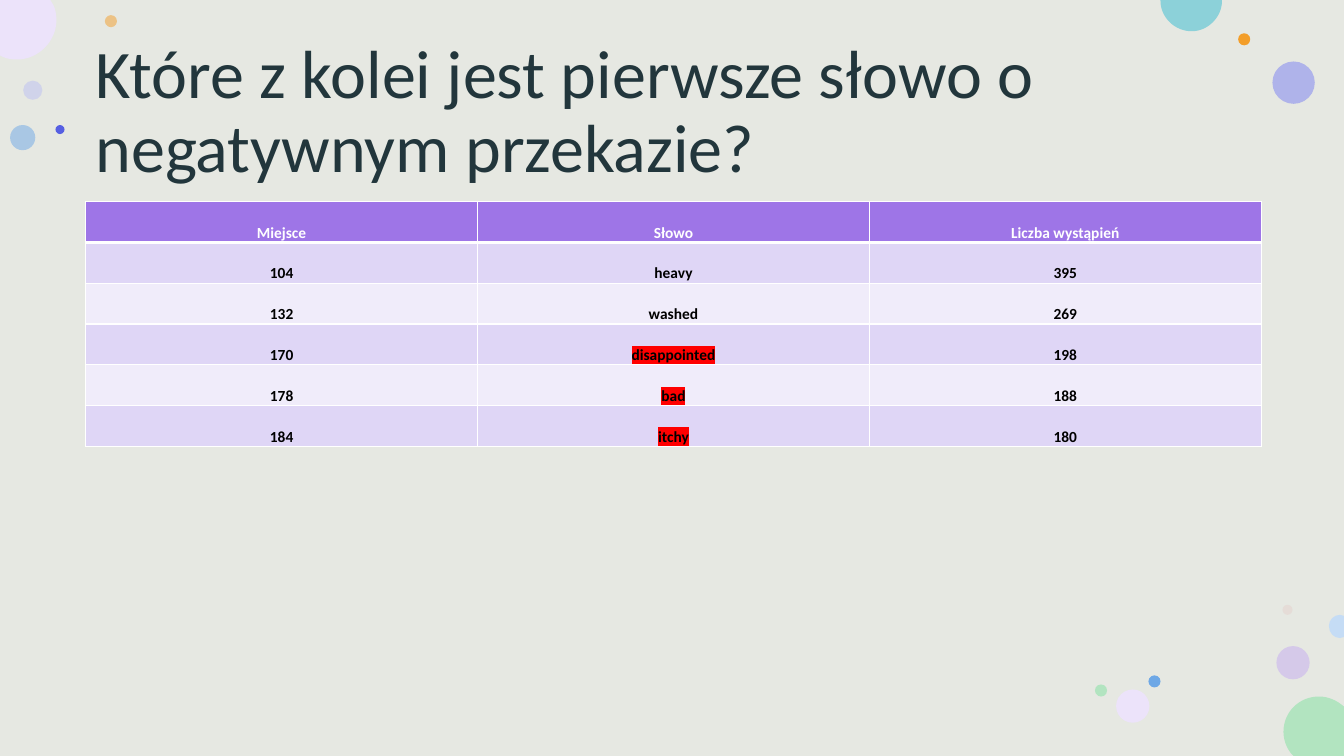
from lxml import etree
from pptx import Presentation
from pptx.dml.color import RGBColor
from pptx.enum.shapes import MSO_SHAPE
from pptx.enum.text import MSO_ANCHOR, PP_ALIGN
from pptx.oxml.ns import qn
from pptx.util import Inches, Pt

OVAL, RECT = MSO_SHAPE.OVAL, MSO_SHAPE.RECTANGLE
MIDDLE, BOTTOM = MSO_ANCHOR.MIDDLE, MSO_ANCHOR.BOTTOM
LEFT, CENTER = PP_ALIGN.LEFT, PP_ALIGN.CENTER
WIDE, HIGH = 13.33, 7.5

TITLE = "Które z kolei jest pierwsze słowo o negatywnym przekazie?"
ROWS = [
    ("Miejsce", "Słowo", "Liczba wystąpień"),
    ("104", "heavy", "395"),
    ("132", "washed", "269"),
    ("170", "disappointed", "198"),
    ("178", "bad", "188"),
    ("184", "itchy", "180"),
]
MARKED = {"disappointed", "bad", "itchy"}
HEAD, BANDS = "9E75E7", ("F0ECFA", "DFD6F6")
WHITE, BLACK, RED, BACK = "FFFFFF", "000000", "FF0000", "E6E8E2"

# left, top, diameter, colour, opacity in percent
DOTS = [
    (0.23, 0.8, 0.19, "BBBFF3", 50),
    (1.04, 0.15, 0.12, "F39E29", 50),
    (12.66, 6.41, 0.33, "C5ACF1", 50),
    (0.1, 1.24, 0.25, "6EA8E6", 50),
    (12.62, 0.61, 0.42, "9A9FEE", 72),
    (12.28, 0.33, 0.12, "F39E29", 100),
    (12.72, 6, 0.1, "E3BEBE", 28),
    (11.39, 6.7, 0.12, "6EA8E6", 100),
    (11.07, 6.84, 0.33, "ECE3FA", 100),
    (10.86, 6.79, 0.12, "B2E4C0", 100),
    (0.55, 1.24, 0.09, "565FE2", 100),
]
# circles cut by the slide's edge: colour, start, then
# two numbers for a line and six for a curve
CUTS = [
    ("B2E4C0", (13.08, 6.91), [
        (13.18, 6.91, 13.26, 6.95, 13.33, 7.01), (13.33, 7.5), (12.83, 7.5),
        (12.81, 7.48), (12.76, 7.42, 12.73, 7.34, 12.73, 7.26),
        (12.73, 7.06, 12.89, 6.91, 13.08, 6.91)]),
    ("ECE3FA", (0, 0), [
        (0.5, 0), (0.53, 0.05), (0.55, 0.09, 0.56, 0.14, 0.56, 0.2),
        (0.56, 0.41, 0.38, 0.59, 0.17, 0.59),
        (0.11, 0.59, 0.06, 0.58, 0.02, 0.56), (0, 0.55)]),
    ("8CD1D9", (11.51, 0), [
        (12.12, 0), (12.12, 0.01), (12.12, 0.17, 11.98, 0.31, 11.82, 0.31),
        (11.65, 0.31, 11.51, 0.17, 11.51, 0.01)]),
    ("C5DCF5", (13.29, 6.1), [
        (13.33, 6.11), (13.33, 6.32), (13.29, 6.33),
        (13.23, 6.33, 13.18, 6.28, 13.18, 6.21),
        (13.18, 6.15, 13.23, 6.1, 13.29, 6.1)]),
]


def paint(fill, color, alpha=100):
    fill.solid()
    fill.fore_color.rgb = RGBColor.from_string(color)
    if alpha < 100:
        tone = fill._xPr.find(qn("a:solidFill"))[0]
        etree.SubElement(tone, qn("a:alpha"), val=str(alpha * 1000))


def plain(shape, color, alpha=100):
    shape.shadow.inherit = False
    shape.line.fill.background()
    paint(shape.fill, color, alpha)


def write(frame, text, size, color, bold=False, align=LEFT, mark=None, space=1.0):
    frame.word_wrap = True
    para = frame.paragraphs[0]
    para.alignment, para.line_spacing = align, space
    run = para.add_run()
    run.text = text
    font = run.font
    font.size, font.bold = Pt(size), bold
    paint(font.fill, color)
    if mark:
        glow = etree.SubElement(font._element, qn("a:highlight"))
        etree.SubElement(glow, qn("a:srgbClr"), val=mark)
    font.name = "Calibri"


def edge(cell, side, width):
    line = etree.SubElement(cell._tc.get_or_add_tcPr(), qn("a:ln" + side),
                            w=str(Pt(width)))
    solid = etree.SubElement(line, qn("a:solidFill"))
    etree.SubElement(solid, qn("a:srgbClr"), val=WHITE)


def cut(slide, color, start, parts):
    """Draw an outline, then join each curve's three lines into one curve."""
    pen = slide.shapes.build_freeform(*map(Inches, start))
    for part in parts:
        spots = zip(part[::2], part[1::2])
        pen.add_line_segments([(Inches(x), Inches(y)) for x, y in spots],
                              close=part is parts[-1])
    shape = pen.convert_to_shape()
    plain(shape, color)
    lines = iter(list(shape._element.iter(qn("a:lnTo"))))
    for part in parts:
        group = [next(lines) for _ in part[::2]]
        if len(group) == 3:
            curve = etree.Element(qn("a:cubicBezTo"))
            group[0].addprevious(curve)
            for line in group:
                curve.append(line[0])
                line.getparent().remove(line)


def grid(slide, left, top, width, height):
    rows, cols = len(ROWS), len(ROWS[0])
    table = slide.shapes.add_table(rows, cols, Inches(left), Inches(top),
                                   Inches(width), Inches(height)).table
    for r, row in enumerate(ROWS):
        for c, text in enumerate(row):
            cell = table.cell(r, c)
            cell.margin_left = cell.margin_right = cell.margin_top = Inches(0.01)
            cell.margin_bottom = 0
            cell.vertical_anchor = BOTTOM
            for side in "LRTB":
                thick = (r, side) in ((0, "B"), (1, "T"))
                edge(cell, side, 3 if thick else 1)
            paint(cell.fill, BANDS[r % 2] if r else HEAD)
            write(cell.text_frame, text, 11, BLACK if r else WHITE, bold=True,
                  align=CENTER, mark=RED if text in MARKED else None)


def main():
    deck = Presentation()
    deck.slide_width, deck.slide_height = Inches(WIDE), Inches(HIGH)
    slide = deck.slides.add_slide(deck.slide_layouts[6])
    back = slide.shapes.add_shape(RECT, 0, 0, deck.slide_width, deck.slide_height)
    plain(back, BACK)
    for x, y, size, color, alpha in DOTS:
        dot = slide.shapes.add_shape(OVAL, Inches(x), Inches(y),
                                     Inches(size), Inches(size))
        plain(dot, color, alpha)
    for item in CUTS:
        cut(slide, *item)
    title = slide.shapes.add_textbox(Inches(0.85), Inches(0.4),
                                     Inches(11.66), Inches(1.45)).text_frame
    title.vertical_anchor = MIDDLE
    write(title, TITLE, 48.6, "22363C", space=0.9)
    grid(slide, 0.85, 2, 11.66, 2.43)
    deck.save("out.pptx")


if __name__ == "__main__":
    main()
